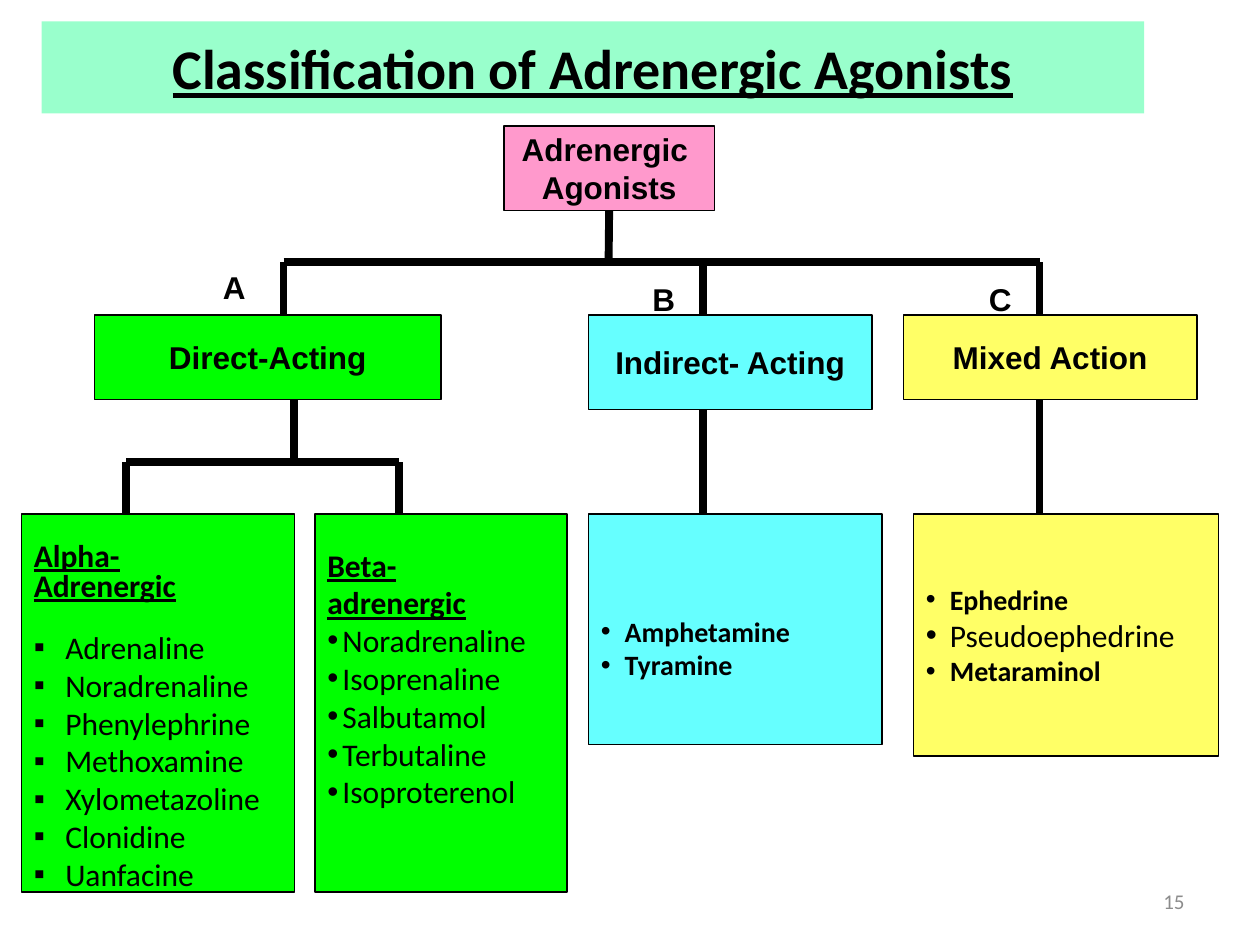
from dataclasses import dataclass

from lxml.etree import SubElement
from pptx import Presentation
from pptx.dml.color import RGBColor
from pptx.enum.shapes import MSO_CONNECTOR as Line, MSO_SHAPE as Shape
from pptx.enum.text import MSO_ANCHOR as Anchor, PP_ALIGN as Align
from pptx.oxml.ns import qn
from pptx.util import Inches, Pt


@dataclass(frozen=True)
class Theme:
    mint: str = "99FFCC"
    pink: str = "FF99CC"
    green: str = "00FF00"
    cyan: str = "66FFFF"
    yellow: str = "FFFF66"
    ink: str = "000000"
    muted: str = "8C8C8C"
    node_font: str = "Arial"
    list_font: str = "Calibri"
    title_size: int = 32
    body_size: int = 18
    small_size: int = 16
    number_size: int = 12
    border: float = 0.75
    branch: float = 4.5


THEME = Theme()


@dataclass(frozen=True)
class Box:
    left: float
    top: float
    width: float
    height: float

    def lengths(self) -> list:
        return [Inches(v) for v in (self.left, self.top, self.width, self.height)]


@dataclass(frozen=True)
class Node:
    lines: tuple
    box: Box
    fill: str


@dataclass(frozen=True)
class DrugList:
    box: Box
    fill: str
    drugs: tuple
    heading: tuple = ()
    bullet: str = "•"
    indent: float = 0.19
    top_inset: float = 0.05
    anchor: Anchor = Anchor.MIDDLE
    heading_spacing: float = 1.0
    heading_gap: int = 0
    bold_drugs: tuple = ()


def add_run(paragraph, text: str, font: str, size: int, bold=False,
            underline=False, color=THEME.ink) -> None:
    run = paragraph.add_run()
    run.text = text
    run.font.name, run.font.size = font, Pt(size)
    run.font.bold, run.font.underline = bold, underline
    run.font.color.rgb = RGBColor.from_string(color)


def next_paragraph(frame):
    """Return the unused first paragraph, or a new one."""
    first = frame.paragraphs[0]
    return frame.add_paragraph() if first.runs else first


def add_panel(slide, box: Box, fill: str):
    panel = slide.shapes.add_shape(Shape.RECTANGLE, *box.lengths())
    panel.shadow.inherit = False
    panel.fill.solid()
    panel.fill.fore_color.rgb = RGBColor.from_string(fill)
    panel.line.color.rgb = RGBColor.from_string(THEME.ink)
    panel.line.width = Pt(THEME.border)
    return panel


def add_node(slide, node: Node):
    panel = add_panel(slide, node.box, node.fill)
    frame = panel.text_frame
    frame.word_wrap, frame.vertical_anchor = False, Anchor.MIDDLE
    for line in node.lines:
        paragraph = next_paragraph(frame)
        paragraph.alignment = Align.CENTER
        add_run(paragraph, line, THEME.node_font, THEME.body_size, bold=True)
    return panel


def set_bullet(paragraph, symbol: str, indent: float) -> None:
    properties = paragraph._p.get_or_add_pPr()
    properties.set("marL", str(Inches(indent)))
    properties.set("indent", str(-Inches(indent)))
    SubElement(properties, qn("a:buFont"), typeface="Arial")
    SubElement(properties, qn("a:buChar"), char=symbol)


def add_drug_list(slide, group: DrugList) -> None:
    frame = add_panel(slide, group.box, group.fill).text_frame
    frame.word_wrap, frame.vertical_anchor = True, group.anchor
    frame.margin_top = Inches(group.top_inset)
    for line in group.heading:
        paragraph = next_paragraph(frame)
        paragraph.alignment = Align.LEFT
        paragraph.line_spacing = group.heading_spacing
        add_run(paragraph, line, THEME.list_font, THEME.body_size, True, True)
    if group.heading:
        paragraph.space_after = Pt(group.heading_gap)
    for drug in group.drugs:
        paragraph = next_paragraph(frame)
        paragraph.alignment = Align.LEFT
        set_bullet(paragraph, group.bullet, group.indent)
        bold = drug in group.bold_drugs
        size = THEME.small_size if bold else THEME.body_size
        add_run(paragraph, drug, THEME.list_font, size, bold)


def add_branch(slide, start: tuple, end: tuple):
    ends = [Inches(v) for v in (*start, *end)]
    branch = slide.shapes.add_connector(Line.STRAIGHT, *ends)
    branch.line.color.rgb = RGBColor.from_string(THEME.ink)
    branch.line.width = Pt(THEME.branch)
    SubElement(branch._element.spPr, qn("a:effectLst"))
    return branch


def add_label(slide, text: str, box: Box, font: str, size: int, bold=False,
              color=THEME.ink, align=Align.LEFT, anchor=Anchor.TOP) -> None:
    frame = slide.shapes.add_textbox(*box.lengths()).text_frame
    frame.vertical_anchor = anchor
    frame.word_wrap = True
    frame.paragraphs[0].alignment = align
    add_run(frame.paragraphs[0], text, font, size, bold, color=color)


def add_title(slide, text: str, box: Box) -> None:
    title = slide.shapes.title
    title.left, title.top, title.width, title.height = box.lengths()
    title.fill.solid()
    title.fill.fore_color.rgb = RGBColor.from_string(THEME.mint)
    title.text_frame.vertical_anchor = Anchor.MIDDLE
    title.text_frame.paragraphs[0].alignment = Align.CENTER
    add_run(title.text_frame.paragraphs[0], text, THEME.list_font,
            THEME.title_size, True, True)


ROOT = Node(("Adrenergic ", "Agonists"), Box(4, 1, 1.67, 0.67), THEME.pink)
CLASSES = (
    Node(("Direct-Acting",), Box(0.75, 2.5, 2.75, 0.67), THEME.green),
    Node(("Indirect- Acting",), Box(4.67, 2.5, 2.25, 0.75), THEME.cyan),
    Node(("Mixed Action",), Box(7.17, 2.5, 2.33, 0.67), THEME.yellow),
)
LIST_TOP = 4.08
INDIRECT = ("Amphetamine", "Tyramine")
DRUG_LISTS = (
    DrugList(Box(0.17, LIST_TOP, 2.17, 3), THEME.green,
             ("Adrenaline", "Noradrenaline", "Phenylephrine", "Methoxamine",
              "Xylometazoline", "Clonidine", "Uanfacine"),
             ("Alpha-", "Adrenergic"), "▪", 0.25, 0.23, Anchor.TOP, 0.8, 14),
    DrugList(Box(2.5, LIST_TOP, 2, 3), THEME.green,
             ("Noradrenaline", "Isoprenaline", "Salbutamol", "Terbutaline",
              "Isoproterenol"),
             ("Beta-", "adrenergic"), indent=0.12, top_inset=0.25,
             anchor=Anchor.TOP),
    DrugList(Box(4.67, LIST_TOP, 2.33, 1.83), THEME.cyan, INDIRECT,
             top_inset=0.34, bold_drugs=INDIRECT),
    DrugList(Box(7.25, LIST_TOP, 2.42, 1.92), THEME.yellow,
             ("Ephedrine", "Pseudoephedrine", "Metaraminol"),
             bold_drugs=("Ephedrine", "Metaraminol")),
)
CLASS_BAR, CLASS_TOP, SUBTYPE_BAR = 2.08, 2.5, 3.67
CLASS_XS, SUBTYPE_XS = (2.25, 5.58, 8.25), (1, 3.17)
LETTERS = (("A", 1.67, 2.08), ("B", 5.08, 2.17), ("C", 7.75, 2.17))


def main() -> None:
    deck = Presentation()
    deck.slide_width, deck.slide_height = Inches(10), Inches(7.5)
    slide = deck.slides.add_slide(deck.slide_layouts[5])
    add_title(slide, "Classification of Adrenergic Agonists",
              Box(0.33, 0.17, 8.75, 0.73))

    # Boxes of the tree
    root = add_node(slide, ROOT)
    for node in CLASSES:
        add_node(slide, node)
    for group in DRUG_LISTS:
        add_drug_list(slide, group)

    # Root to the three classes
    add_branch(slide, (4.83, 1.67), (4.83, CLASS_BAR)).begin_connect(root, 2)
    add_branch(slide, (CLASS_XS[0], CLASS_BAR), (CLASS_XS[-1], CLASS_BAR))
    for x in CLASS_XS:
        add_branch(slide, (x, CLASS_BAR), (x, CLASS_TOP))

    # Classes to their drug lists
    add_branch(slide, (2.33, 3.17), (2.33, SUBTYPE_BAR))
    add_branch(slide, (SUBTYPE_XS[0], SUBTYPE_BAR), (SUBTYPE_XS[1], SUBTYPE_BAR))
    for x in SUBTYPE_XS:
        add_branch(slide, (x, SUBTYPE_BAR), (x, LIST_TOP))
    for x, node in zip(CLASS_XS[1:], CLASSES[1:]):
        add_branch(slide, (x, node.box.top + node.box.height), (x, LIST_TOP))

    # Class letters and slide number
    for letter, left, top in LETTERS:
        add_label(slide, letter, Box(left, top, 0.38, 0.4), THEME.node_font,
                  THEME.body_size, bold=True)
    add_label(slide, "15", Box(7.17, 6.95, 2.33, 0.4), THEME.list_font,
              THEME.number_size, color=THEME.muted, align=Align.RIGHT,
              anchor=Anchor.MIDDLE)
    deck.save("out.pptx")


if __name__ == "__main__":
    main()
